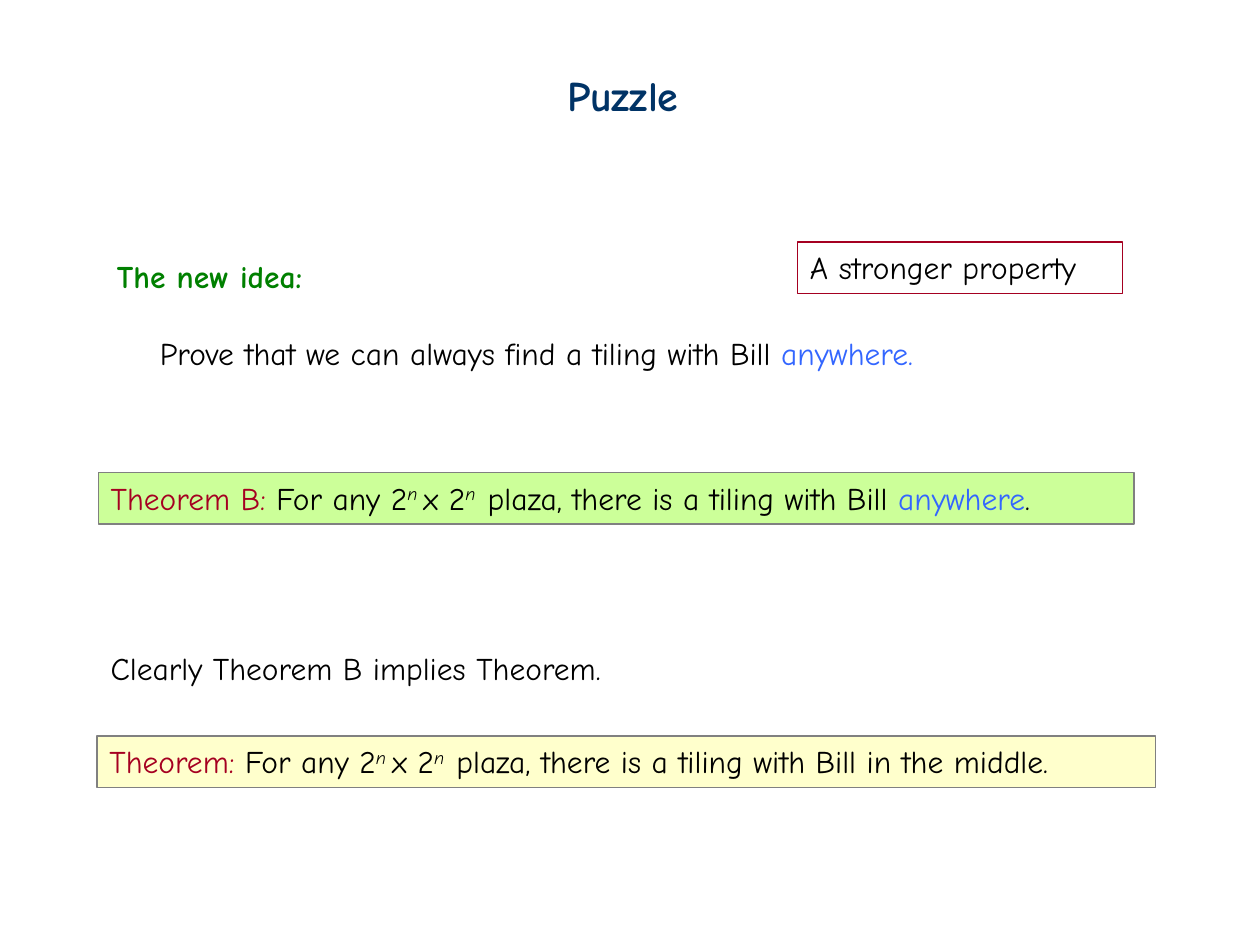
from pptx import Presentation
from pptx.dml.color import RGBColor
from pptx.enum.shapes import MSO_SHAPE
from pptx.enum.text import MSO_ANCHOR, PP_ALIGN
from pptx.util import Inches, Pt

FONT = "Comic Neue"
BLACK = RGBColor(0x00, 0x00, 0x00)
NAVY = RGBColor(0x00, 0x33, 0x66)
GREEN = RGBColor(0x00, 0x80, 0x00)
BLUE = RGBColor(0x33, 0x66, 0xFF)
RED = RGBColor(0xA5, 0x00, 0x21)
GRAY = RGBColor(0x80, 0x80, 0x80)
LIME = RGBColor(0xCC, 0xFF, 0x99)
CREAM = RGBColor(0xFF, 0xFF, 0xCC)

LINE_HEIGHT = 0.4
PANEL_HEIGHT = 0.41
POWER_SIZE = [
    (" For any 2", BLACK),
    ("n ", BLACK, "power"),
    ("x 2", BLACK),
    ("n  ", BLACK, "power"),
]


def add_span(para, text, color, style="plain", size=18):
    """Add one run in the given colour and style: plain, bold or power."""
    span = para.add_run()
    span.text = text
    span.font.name = FONT
    span.font.size = Pt(size)
    span.font.color.rgb = color
    span.font.bold = style == "bold"
    if style == "power":
        span.font.italic = True
        span.font._element.set("baseline", "30000")


def write(box, spans, size=18):
    """Fill a shape with one left-aligned paragraph of runs."""
    frame = box.text_frame
    frame.word_wrap = True
    para = frame.paragraphs[0]
    para.alignment = PP_ALIGN.LEFT
    for span in spans:
        add_span(para, *span, size=size)


def place_title(page, left, top, width, height, spans):
    """Move the title placeholder and write its text."""
    title = page.shapes.title
    title.left, title.top = Inches(left), Inches(top)
    title.width, title.height = Inches(width), Inches(height)
    title.text_frame.vertical_anchor = MSO_ANCHOR.TOP
    write(title, spans, size=24)


def add_statement(page, left, top, width, spans):
    """Add a plain line of text."""
    box = page.shapes.add_textbox(
        Inches(left), Inches(top), Inches(width), Inches(LINE_HEIGHT))
    write(box, spans)


def add_panel(page, left, top, width, line, spans, fill=None):
    """Add an outlined rectangle holding a line of text."""
    panel = page.shapes.add_shape(
        MSO_SHAPE.RECTANGLE,
        Inches(left), Inches(top), Inches(width), Inches(PANEL_HEIGHT))
    panel.shadow.inherit = False
    if fill is None:
        panel.fill.background()
    else:
        panel.fill.solid()
        panel.fill.fore_color.rgb = fill
    panel.line.color.rgb = line
    panel.line.width = Pt(0.75)
    panel.text_frame.vertical_anchor = MSO_ANCHOR.TOP
    write(panel, spans)


def main():
    """Build the puzzle slide and save the deck."""
    deck = Presentation()
    deck.slide_width, deck.slide_height = Inches(10), Inches(7.5)
    page = deck.slides.add_slide(deck.slide_layouts.get_by_name("Title Only"))

    place_title(page, 4.4, 0.5, 1.19, 0.5, [("Puzzle", NAVY, "bold")])
    add_statement(page, 0.83, 1.99, 1.92, [("The new idea:", GREEN, "bold")])
    add_statement(page, 1.17, 2.6, 7.67, [
        ("Prove that we can always find a tiling with Bill ", BLACK),
        ("anywhere.", BLUE),
    ])
    add_panel(page, 0.78, 3.75, 8.22, GRAY, [
        ("Theorem B:", RED),
        *POWER_SIZE,
        ("plaza, there is a tiling with Bill ", BLACK),
        ("anywhere", BLUE),
        (".", BLACK),
    ], LIME)
    add_panel(page, 0.77, 5.84, 8.4, GRAY, [
        ("Theorem:", RED),
        *POWER_SIZE,
        ("plaza, there is a tiling with Bill in the middle.", BLACK),
    ], CREAM)
    add_statement(page, 0.78, 5.1, 4.39,
                  [("Clearly Theorem B implies Theorem.", BLACK)])
    add_panel(page, 6.33, 1.92, 2.58, RED, [("A stronger property", BLACK)])

    deck.save("out.pptx")


if __name__ == "__main__":
    main()
